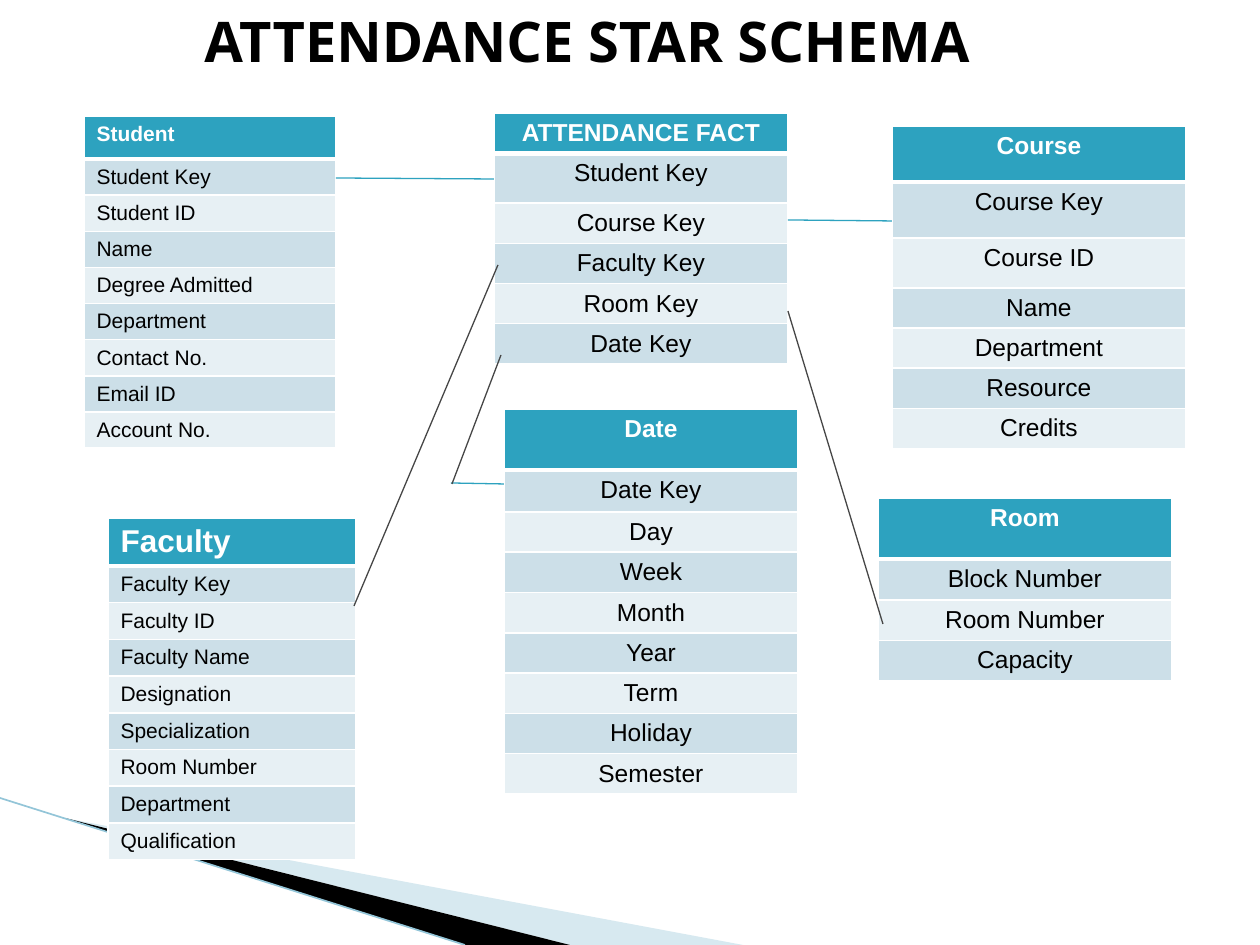
from lxml import etree
from pptx import Presentation
from pptx import util as u
from pptx.dml.color import RGBColor
from pptx.enum import shapes, text
from pptx.oxml import ns

PX = 914400 // 126
COLORS = {
    "header": "2DA2BF", "odd": "CCDFE8", "even": "E7F0F4", "white": "FFFFFF",
    "black": "000000", "dark": "464646", "pale": "D7E9F0", "edge": "93C5D8",
}
CENTER, LEFT = text.PP_ALIGN.CENTER, text.PP_ALIGN.LEFT

TITLE = "ATTENDANCE STAR SCHEMA"

# Position, width, bottom edge and heights of the first rows in px;
# the remaining rows share the rest of the height equally.
TABLES = [
    dict(name="Course", left=892, top=126, width=294, bottom=448, first=[56, 56, 50],
         sizes=(14, 14), align=CENTER,
         fields=["Course Key", "Course ID", "Name", "Department", "Resource", "Credits"]),
    dict(name="Date", left=504, top=409, width=294, bottom=794, first=[61, 42],
         sizes=(14, 14), align=CENTER,
         fields=["Date Key", "Day", "Week", "Month", "Year", "Term", "Holiday", "Semester"]),
    dict(name="ATTENDANCE FACT", left=494, top=113, width=294, bottom=363, first=[40, 50],
         sizes=(14, 14), align=CENTER,
         fields=["Student Key", "Course Key", "Faculty Key", "Room Key", "Date Key"]),
    dict(name="Student", left=84, top=116, width=252, bottom=448, first=[43],
         sizes=(12, 12), align=LEFT,
         fields=["Student Key", "Student ID", "Name", "Degree Admitted", "Department",
                 "Contact No.", "Email ID", "Account No."]),
    dict(name="Room", left=878, top=498, width=294, bottom=681, first=[61, 41],
         sizes=(14, 14), align=CENTER,
         fields=["Block Number", "Room Number", "Capacity"]),
    dict(name="Faculty", left=108, top=518, width=248, bottom=860, first=[48],
         sizes=(18, 12), align=LEFT,
         fields=["Faculty Key", "Faculty ID", "Faculty Name", "Designation",
                 "Specialization", "Room Number", "Department", "Qualification"]),
]

# Start, end, colour
LINKS = [
    ((451, 483), (504, 484), "header"),
    ((336, 178), (494, 179), "header"),
    ((788, 220), (892, 221), "header"),
    ((498, 265), (354, 606), "dark"),
    ((501, 355), (452, 484), "dark"),
    ((788, 311), (883, 624), "dark"),
]

# Corner decoration
WEDGES = [
    ([(69, 819), (743, 945), (570, 945)], "pale"),
    ([(65, 818), (570, 945), (465, 945)], "black"),
]
EDGE = ((0, 798), (465, 945), "edge")


def px(n):
    return int(n * PX)


def color(name):
    return RGBColor.from_string(COLORS[name])


def add_wedge(page, points, fill):
    builder = page.shapes.build_freeform(*points[0], scale=PX)
    builder.add_line_segments(points[1:], close=True)
    wedge = builder.convert_to_shape()
    wedge.shadow.inherit = False
    wedge.fill.solid()
    wedge.fill.fore_color.rgb = color(fill)
    wedge.line.fill.background()


def add_line(page, start, end, stroke, width=0.75):
    line = page.shapes.add_connector(
        shapes.MSO_CONNECTOR.STRAIGHT, *map(px, start + end))
    line.line.color.rgb = color(stroke)
    line.line.width = u.Pt(width)
    etree.SubElement(line._element.spPr, ns.qn("a:effectLst"))


def set_borders(cell, bottom):
    props = cell._tc.get_or_add_tcPr()
    for i, side in enumerate("LRTB"):
        width = bottom if side == "B" else 1
        border = etree.Element(ns.qn(f"a:ln{side}"), w=str(u.Pt(width)))
        fill = etree.SubElement(border, ns.qn("a:solidFill"))
        etree.SubElement(fill, ns.qn("a:srgbClr"), val=COLORS["white"])
        props.insert(i, border)


def style(para, size, ink, bold, align, face="Arial"):
    para.alignment = align
    para.font.name = face
    para.font.size = u.Pt(size)
    para.font.bold = bold
    para.font.color.rgb = color(ink)


def add_entity(page, name, left, top, width, bottom, first, sizes, align, fields):
    labels = [name] + fields
    shared = (bottom - top - sum(first)) / (len(labels) - len(first))
    heights = first + [shared] * (len(labels) - len(first))
    table = page.shapes.add_table(
        len(labels), 1, px(left), px(top), px(width), px(bottom - top)).table
    for i, (label, height) in enumerate(zip(labels, heights)):
        header = i == 0
        table.rows[i].height = px(height)
        cell = table.cell(i, 0)
        cell.text = label
        cell.fill.solid()
        cell.fill.fore_color.rgb = color("header" if header else "odd" if i % 2 else "even")
        set_borders(cell, 3 if header else 1)
        style(cell.text_frame.paragraphs[0], sizes[0 if header else 1],
              "white" if header else "black", header, align)


def main():
    deck = Presentation()
    deck.slide_width, deck.slide_height = px(1260), px(945)
    page = deck.slides.add_slide(deck.slide_layouts[5])

    # Decoration
    for points, fill in WEDGES:
        add_wedge(page, points, fill)
    add_line(page, *EDGE, width=0.95)

    # Title
    title = page.shapes.title
    title.left, title.top, title.width, title.height = map(px, (94, 0, 987, 81))
    title.text_frame.text = TITLE
    title.text_frame.vertical_anchor = text.MSO_ANCHOR.MIDDLE
    style(title.text_frame.paragraphs[0], 32, "black", True, CENTER, "Open Sans")

    # Tables and their links
    for entity in TABLES:
        add_entity(page, **entity)
    for link in LINKS:
        add_line(page, *link)

    deck.save("out.pptx")


if __name__ == "__main__":
    main()
